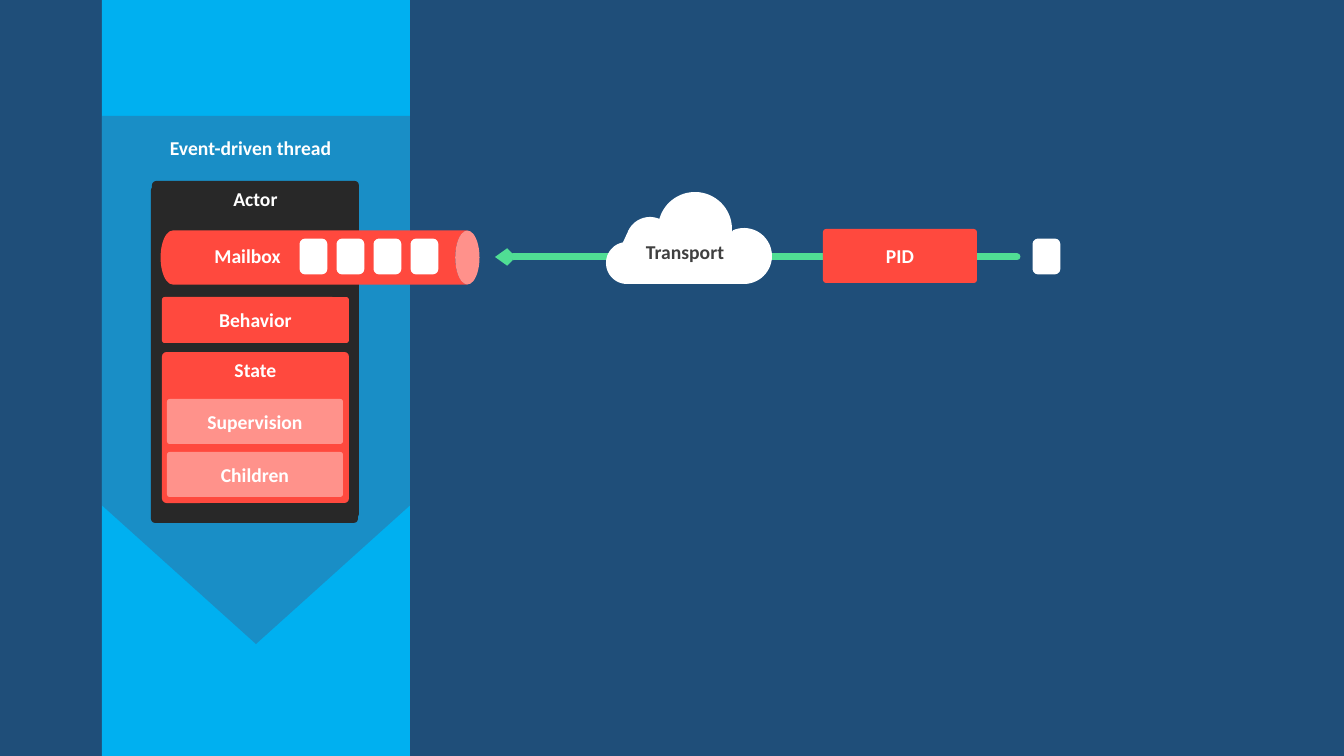
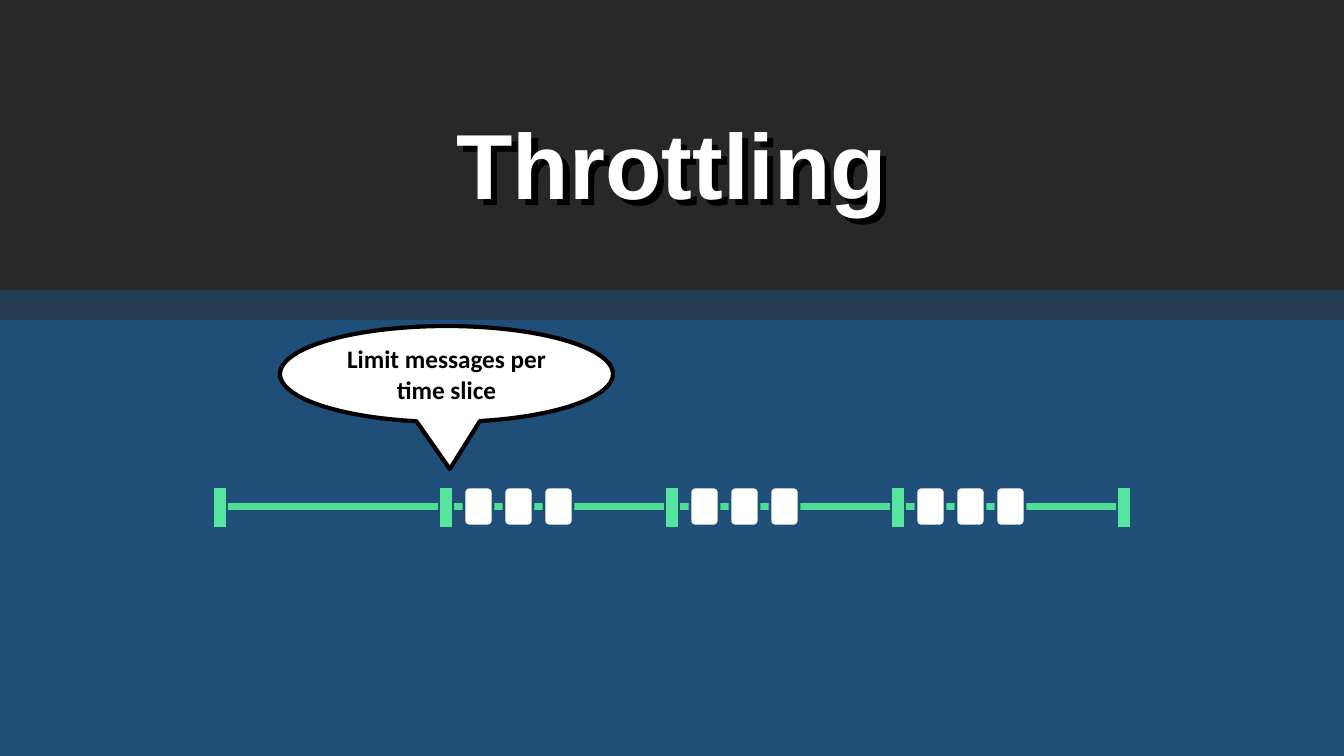
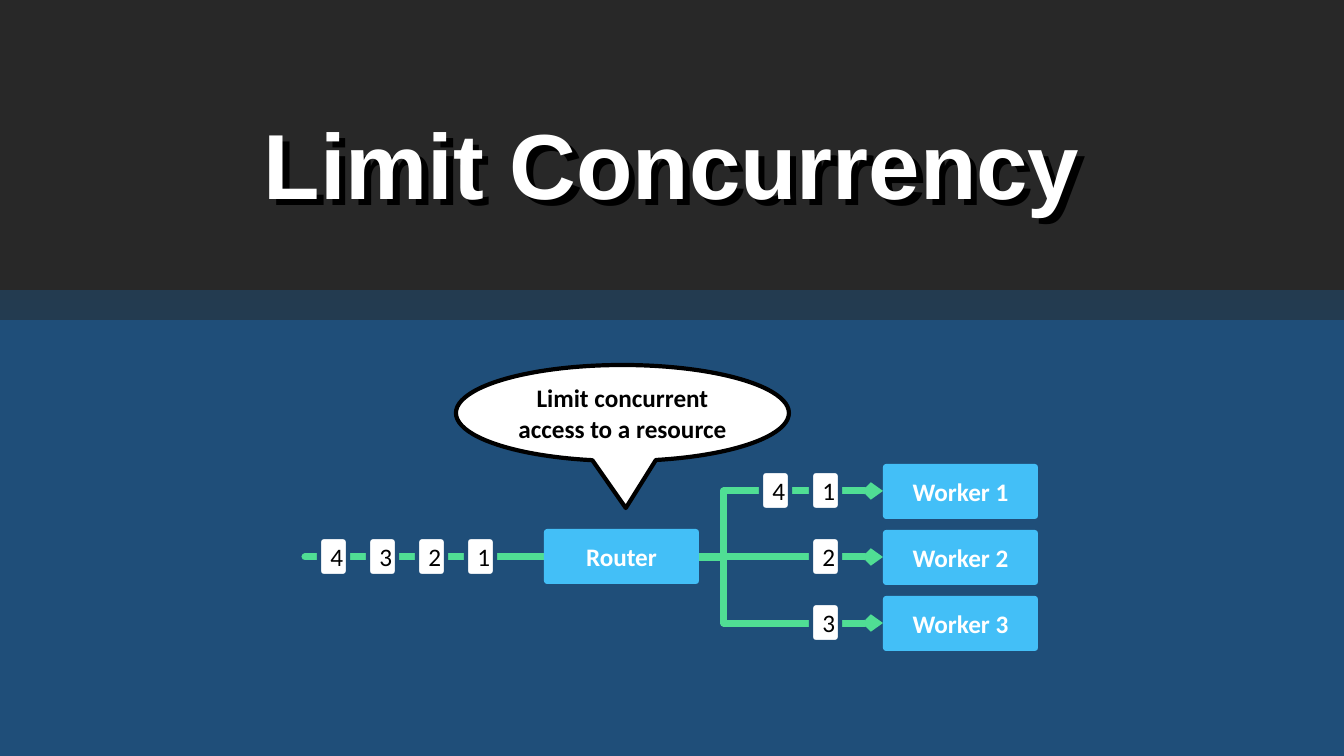
import math
from lxml import etree
from pptx import Presentation
from pptx.dml.color import RGBColor
from pptx.enum import shapes, text
from pptx.oxml import parse_xml
from pptx.oxml.ns import qn
from pptx.util import Pt

WIDE, HIGH = 1344, 756
SCALE = 914400 / 100.8
NS = 'xmlns:a="http://schemas.openxmlformats.org/drawingml/2006/main"'
KIND = shapes.MSO_SHAPE
ALIGN, ANCHOR = text.PP_ALIGN, text.MSO_ANCHOR

NAVY, BAND, DARK = "1F4E79", "233B50", "282828"
WHITE, BLACK, GRAY = "FFFFFF", "000000", "404040"
SKY, AZURE, HAZE = "00B0F0", "43BFF7", "3F5E8B"
RED, PINK, GREEN, MINT = "FF493E", "FF928B", "50DE94", "56E59E"


def px(n):
    return round(n * SCALE)


def color(code):
    return RGBColor.from_string(code)


def write(shape, words, size, ink, bold=True, font="Calibri",
          align=ALIGN.CENTER, anchor=ANCHOR.MIDDLE, wrap=True):
    frame = shape.text_frame
    frame.word_wrap = wrap
    frame.vertical_anchor = anchor
    para = frame.paragraphs[0]
    para.text = words
    para.alignment = align
    face = para.font
    face.name, face.size, face.bold = font, Pt(size), bold
    face.color.rgb = color(ink)


def paint(shape, fill, line=None, weight=1):
    shape.shadow.inherit = False
    shape.fill.solid()
    shape.fill.fore_color.rgb = color(fill)
    if line:
        shape.line.color.rgb = color(line)
        shape.line.width = Pt(weight)
    else:
        shape.line.fill.background()


def draw(slide, kind, box, fill, line=None, weight=1, adj=()):
    shape = slide.shapes.add_shape(kind, *map(px, box))
    paint(shape, fill, line, weight)
    for i, value in enumerate(adj):
        shape.adjustments[i] = value
    return shape


def label(slide, box, words, size, ink, **style):
    shape = slide.shapes.add_textbox(*map(px, box))
    write(shape, words, size, ink, **style)
    return shape


def block(slide, box, words, fill, size=14, round_by=0.06, anchor=ANCHOR.MIDDLE):
    shape = draw(slide, KIND.ROUNDED_RECTANGLE, box, fill, adj=[round_by])
    write(shape, words, size, WHITE, anchor=anchor)


def card(slide, box, line, weight, words=None):
    shape = draw(slide, KIND.ROUNDED_RECTANGLE, box, WHITE, line, weight)
    if words:
        write(shape, words, 18, BLACK, bold=False)


def wire(slide, start, end, arrow=False, bend=None):
    kind = shapes.MSO_CONNECTOR.ELBOW if bend else shapes.MSO_CONNECTOR.STRAIGHT
    link = slide.shapes.add_connector(kind, *map(px, start + end))
    link.line.color.rgb = color(GREEN)
    link.line.width = Pt(5)
    props = link._element.spPr
    if bend:
        guides = props.find(qn("a:prstGeom")).get_or_add_avLst()
        etree.SubElement(guides, qn("a:gd"), name="adj1", fmla=f"val {round(bend * 100000)}")
    ln = props.find(qn("a:ln"))
    ln.set("cap", "rnd")
    etree.SubElement(ln, qn("a:round"))
    if arrow:
        etree.SubElement(ln, qn("a:tailEnd"), type="arrow", w="sm", len="sm")
    etree.SubElement(props, qn("a:effectLst"))


def callout(slide, x, y, words):
    shape = draw(slide, KIND.OVAL_CALLOUT, (x, y, 333, 96), WHITE, BLACK, 3, [0.01, 0.99])
    write(shape, words, 18, BLACK)


def cloud(slide, x, y):
    # Lobes: centre, radius, first and last angle, clockwise
    lobes = [(21, 72, 21, 90, 259), (44, 50, 24, 202, 293),
             (89, 38, 37, 201, 365), (138, 65, 28, 247, 450)]
    dots = []
    for cx, cy, r, first, last in lobes:
        for i in range(33):
            turn = math.radians(first + (last - first) * i / 32)
            dots.append((px(x + cx + r * math.cos(turn)), px(y + cy + r * math.sin(turn))))
    path = slide.shapes.build_freeform(*dots[0], scale=1.0)
    path.add_line_segments(dots[1:], close=True)
    paint(path.convert_to_shape(), WHITE)
    label(slide, (x + 30, y + 44, 106, 34), "Transport", 14, GRAY,
          align=ALIGN.LEFT, anchor=ANCHOR.TOP, wrap=False)


def page(deck, title=None):
    slide = deck.slides.add_slide(deck.slide_layouts[6])
    slide.background.fill.solid()
    slide.background.fill.fore_color.rgb = color(NAVY)
    if title:
        draw(slide, KIND.RECTANGLE, (0, 290, WIDE, 30), BAND)
        draw(slide, KIND.RECTANGLE, (0, 0, WIDE, 290), DARK)
        head = label(slide, (0, 102, WIDE, 122), title, 66, WHITE,
                     font="Arial", anchor=ANCHOR.TOP)
        head._element.spPr.append(parse_xml(
            f'<a:effectLst {NS}><a:outerShdw dist="{px(9)}" dir="2700000" algn="tl">'
            f'<a:srgbClr val="{BLACK}"/></a:outerShdw></a:effectLst>'))
    return slide


def thread(slide, x, y):
    draw(slide, KIND.RECTANGLE, (x, y, 308, HIGH), SKY)
    arrow = draw(slide, KIND.DOWN_ARROW, (x, y + 116, 308, 528), HAZE, adj=[1, 0.45])
    tint = arrow._element.spPr.find(qn("a:solidFill"))[0]
    etree.SubElement(tint, qn("a:alpha"), val="41000")
    label(slide, (x + 58, y + 131, 195, 34), "Event-driven thread", 14, WHITE,
          align=ALIGN.LEFT, anchor=ANCHOR.TOP, wrap=False)


def actor(slide, x, y):
    draw(slide, KIND.ROUNDED_RECTANGLE, (x - 1, y + 5, 207, 337), DARK, adj=[0.02])
    block(slide, (x, y, 207, 337), "Actor", DARK, round_by=0.02, anchor=ANCHOR.TOP)
    block(slide, (x + 10, y + 116, 187, 46), "Behavior", RED)
    # State and its parts
    block(slide, (x + 10, y + 171, 187, 151), "State", RED, round_by=0.03, anchor=ANCHOR.TOP)
    for i, words in enumerate(["Supervision", "Children"]):
        block(slide, (x + 15, y + 218 + 53 * i, 176, 45), words, PINK)
    # Mailbox with queued messages
    can = draw(slide, KIND.CAN, (x + 141, y - 83, 54, 319), RED, adj=[0.45])
    can.rotation = 90
    label(slide, (x + 31, y + 63, 129, 24), "Mailbox", 14, WHITE)
    for i in range(4):
        card(slide, (x + 149 + 37 * i, y + 59, 25, 33), WHITE, 2)


def model(deck):
    slide = page(deck)
    thread(slide, 102, 0)
    # Route of a message to the mailbox
    wire(slide, (1017, 257), (495, 257), arrow=True)
    block(slide, (823, 229, 154, 54), "PID", RED)
    card(slide, (1034, 240, 25, 33), WHITE, 2)
    cloud(slide, 606, 191)
    actor(slide, 152, 181)


def throttle(deck):
    slide = page(deck, "Throttling")
    # Time line, five ticks, three messages in each later slice
    left, top, step = 213, 487, 226
    wire(slide, (left + 14, top + 20), (left + 4 * step, top + 20))
    for i in range(5):
        tick = left + step * i
        draw(slide, KIND.RECTANGLE, (tick, top, 14, 41), MINT, NAVY)
        if 0 < i < 4:
            for j in range(3):
                card(slide, (tick + 25 + 40 * j, top, 29, 39), NAVY, 2)
    callout(slide, 280, 326, "Limit messages per time slice")


def limit(deck):
    slide = page(deck, "Limit Concurrency")
    mid, gap, fork, goal = 557, 66, 699, 883
    # Wires in and out of the router
    for row in (1, -1):
        wire(slide, (fork, mid), (goal, mid + gap * row), arrow=True, bend=0.135)
    wire(slide, (fork, mid), (goal, mid), arrow=True)
    wire(slide, (305, mid), (544, mid))
    # Messages waiting, then shared out
    for i, words in enumerate("4321"):
        card(slide, (319 + 49 * i, mid - 20, 29, 39), NAVY, 3, words)
    for x, row, words in [(761, -1, "4"), (811, -1, "1"), (811, 0, "2"), (811, 1, "3")]:
        card(slide, (x, mid - 20 + gap * row, 29, 39), NAVY, 3, words)
    # Router and workers
    block(slide, (544, mid - 28, 155, 55), "Router", AZURE, 18)
    for i in range(3):
        block(slide, (goal, mid - 27 + gap * (i - 1), 155, 55), f"Worker {i + 1}", AZURE, 18)
    callout(slide, 456, 365, "Limit concurrent access to a resource")


def main():
    deck = Presentation()
    deck.slide_width, deck.slide_height = px(WIDE), px(HIGH)
    for build in (model, throttle, limit):
        build(deck)
    deck.save("out.pptx")


if __name__ == "__main__":
    main()
